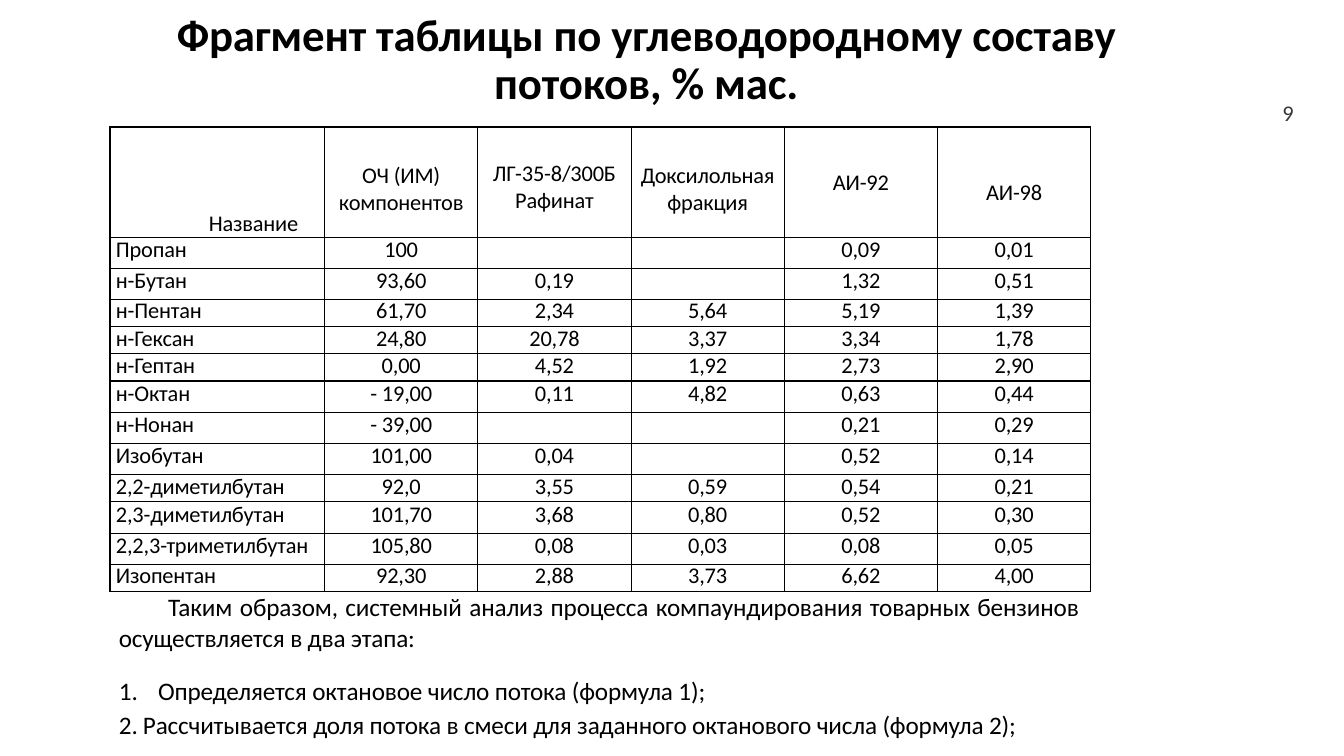
"""Build the slide with the hydrocarbon composition table of gasoline streams."""
from dataclasses import dataclass

from lxml.etree import SubElement
from pptx import Presentation
from pptx.dml.color import RGBColor
from pptx.enum.text import MSO_ANCHOR, PP_ALIGN
from pptx.oxml.ns import qn
from pptx.slide import Slide
from pptx.table import _Cell
from pptx.text.text import _Paragraph
from pptx.util import Emu, Pt

EMU_PER_PX = 9144
FONT = "Calibri"
COLORS = {"background": "FFFFFF", "text": "000000", "number": "3B3838"}
TABLE_LEFT, TABLE_TOP = 109, 126
COLUMN_WIDTHS = [213] + [152] * 5
HEADER_HEIGHT = 110
LINE_POINTS = {27: 18.2, 31: 18.9}


@dataclass(frozen=True)
class Line:
    text: str
    size: int
    align: PP_ALIGN
    color: str = "text"
    bold: bool = False
    left_indent: int = 0
    first_indent: int = 0
    space_before: float = 0
    line_spacing: float | Pt | None = None
    numbered: bool = False


@dataclass(frozen=True)
class TextBlock:
    left: int
    top: int
    width: int
    height: int
    anchor: MSO_ANCHOR
    lines: tuple[Line, ...]


@dataclass(frozen=True)
class Header:
    lines: tuple[str, ...]
    top_margin: int = 0
    left_indent: int = 0
    anchor: MSO_ANCHOR = MSO_ANCHOR.MIDDLE
    line_points: float | None = None


@dataclass(frozen=True)
class Component:
    values: tuple[str, ...]
    height: int = 27


BLOCKS = (
    TextBlock(1242, 92, 51, 40, MSO_ANCHOR.MIDDLE, (Line("9", 16, PP_ALIGN.RIGHT, "number"),)),
    TextBlock(92, 17, 1098, 87, MSO_ANCHOR.MIDDLE, (
        Line("Фрагмент таблицы по углеводородному составу потоков, % мас.",
             32, PP_ALIGN.CENTER, bold=True, line_spacing=0.9),
    )),
    TextBlock(107, 582, 973, 159, MSO_ANCHOR.TOP, (
        Line("Таким образом, системный анализ процесса компаундирования товарных бензинов "
             "осуществляется в два этапа:", 18, PP_ALIGN.JUSTIFY, left_indent=1, first_indent=49),
        Line("Определяется октановое число потока (формула 1);", 18, PP_ALIGN.JUSTIFY,
             left_indent=40, first_indent=-39, space_before=16.9, numbered=True),
        Line("Рассчитывается доля потока в смеси для заданного октанового числа (формула 2);",
             18, PP_ALIGN.JUSTIFY, left_indent=25, first_indent=-24, space_before=2.5, numbered=True),
    )),
)

HEADERS = (
    Header(("Название",), left_indent=72, anchor=MSO_ANCHOR.BOTTOM),
    Header(("ОЧ (ИМ)", "компонентов"), top_margin=15, line_points=19),
    Header(("ЛГ-35-8/300Б", "Рафинат"), top_margin=11, line_points=19),
    Header(("Доксилольная", "фракция"), top_margin=15, line_points=19.1),
    Header(("АИ-92",)),
    Header(("АИ-98",), top_margin=20),
)

COMPONENTS = (
    Component(("Пропан", "100", "", "", "0,09", "0,01")),
    Component(("н-Бутан", "93,60", "0,19", "", "1,32", "0,51")),
    Component(("н-Пентан", "61,70", "2,34", "5,64", "5,19", "1,39")),
    Component(("н-Гексан", "24,80", "20,78", "3,37", "3,34", "1,78")),
    Component(("н-Гептан", "0,00", "4,52", "1,92", "2,73", "2,90")),
    Component(("н-Октан", "- 19,00", "0,11", "4,82", "0,63", "0,44"), 31),
    Component(("н-Нонан", "- 39,00", "", "", "0,21", "0,29"), 31),
    Component(("Изобутан", "101,00", "0,04", "", "0,52", "0,14"), 31),
    Component(("2,2-диметилбутан", "92,0", "3,55", "0,59", "0,54", "0,21")),
    Component(("2,3-диметилбутан", "101,70", "3,68", "0,80", "0,52", "0,30"), 31),
    Component(("2,2,3-триметилбутан", "105,80", "0,08", "0,03", "0,08", "0,05"), 31),
    Component(("Изопентан", "92,30", "2,88", "3,73", "6,62", "4,00")),
)


def px(value: int) -> Emu:
    return Emu(value * EMU_PER_PX)


def write_line(paragraph: _Paragraph, line: Line) -> None:
    paragraph.text = line.text
    paragraph.alignment = line.align
    paragraph.line_spacing = line.line_spacing
    if line.space_before:
        paragraph.space_before = Pt(line.space_before)
    properties = paragraph._p.get_or_add_pPr()
    properties.set("marL", str(px(line.left_indent)))
    properties.set("indent", str(px(line.first_indent)))
    if line.numbered:
        SubElement(properties, qn("a:buFont"), typeface="+mj-lt")
        SubElement(properties, qn("a:buAutoNum"), type="arabicPeriod")
    for run in paragraph.runs:
        run.font.name = FONT
        run.font.size = Pt(line.size)
        run.font.bold = line.bold
        run.font.color.rgb = RGBColor.from_string(COLORS[line.color])
        run._r.get_or_add_rPr().set("spc", "-10")


def add_block(slide: Slide, block: TextBlock) -> None:
    shape = slide.shapes.add_textbox(px(block.left), px(block.top), px(block.width), px(block.height))
    text_frame = shape.text_frame
    text_frame.word_wrap = True
    text_frame.vertical_anchor = block.anchor
    for index, line in enumerate(block.lines):
        write_line(text_frame.add_paragraph() if index else text_frame.paragraphs[0], line)


def fill_cell(cell: _Cell, lines: list[Line], anchor: MSO_ANCHOR, top_margin: int = 0) -> None:
    cell.margin_left = cell.margin_right = cell.margin_bottom = 0
    cell.margin_top = px(top_margin)
    cell.vertical_anchor = anchor
    properties = cell._tc.get_or_add_tcPr()
    for side in ("a:lnL", "a:lnR", "a:lnT", "a:lnB"):
        border = SubElement(properties, qn(side), w=str(Pt(1)))
        border_fill = SubElement(border, qn("a:solidFill"))
        SubElement(border_fill, qn("a:srgbClr"), val=COLORS["text"])
    cell.fill.background()
    text_frame = cell.text_frame
    for index, line in enumerate(lines):
        write_line(text_frame.add_paragraph() if index else text_frame.paragraphs[0], line)


def add_composition_table(slide: Slide) -> None:
    heights = [HEADER_HEIGHT] + [component.height for component in COMPONENTS]
    table = slide.shapes.add_table(
        len(heights), len(COLUMN_WIDTHS), px(TABLE_LEFT), px(TABLE_TOP),
        px(sum(COLUMN_WIDTHS)), px(sum(heights))).table
    table.first_row = table.horz_banding = False
    for column, width in zip(table.columns, COLUMN_WIDTHS):
        column.width = px(width)
    for row, height in zip(table.rows, heights):
        row.height = px(height)
    for column_index, header in enumerate(HEADERS):
        spacing = Pt(header.line_points) if header.line_points else None
        lines = [Line(text, 16, PP_ALIGN.CENTER, left_indent=header.left_indent, line_spacing=spacing)
                 for text in header.lines]
        fill_cell(table.cell(0, column_index), lines, header.anchor, header.top_margin)
    for row_index, component in enumerate(COMPONENTS, start=1):
        spacing = Pt(LINE_POINTS[component.height])
        for column_index, value in enumerate(component.values):
            align, indent = (PP_ALIGN.CENTER, 0) if column_index else (PP_ALIGN.LEFT, 6)
            line = Line(value, 16, align, left_indent=indent, line_spacing=spacing)
            fill_cell(table.cell(row_index, column_index), [line], MSO_ANCHOR.TOP)


def main() -> None:
    presentation = Presentation()
    presentation.slide_width = px(1333)
    presentation.slide_height = px(750)
    slide = presentation.slides.add_slide(presentation.slide_layouts[6])
    slide.background.fill.solid()
    slide.background.fill.fore_color.rgb = RGBColor.from_string(COLORS["background"])
    add_composition_table(slide)
    for block in BLOCKS:
        add_block(slide, block)
    presentation.save("out.pptx")


if __name__ == "__main__":
    main()
